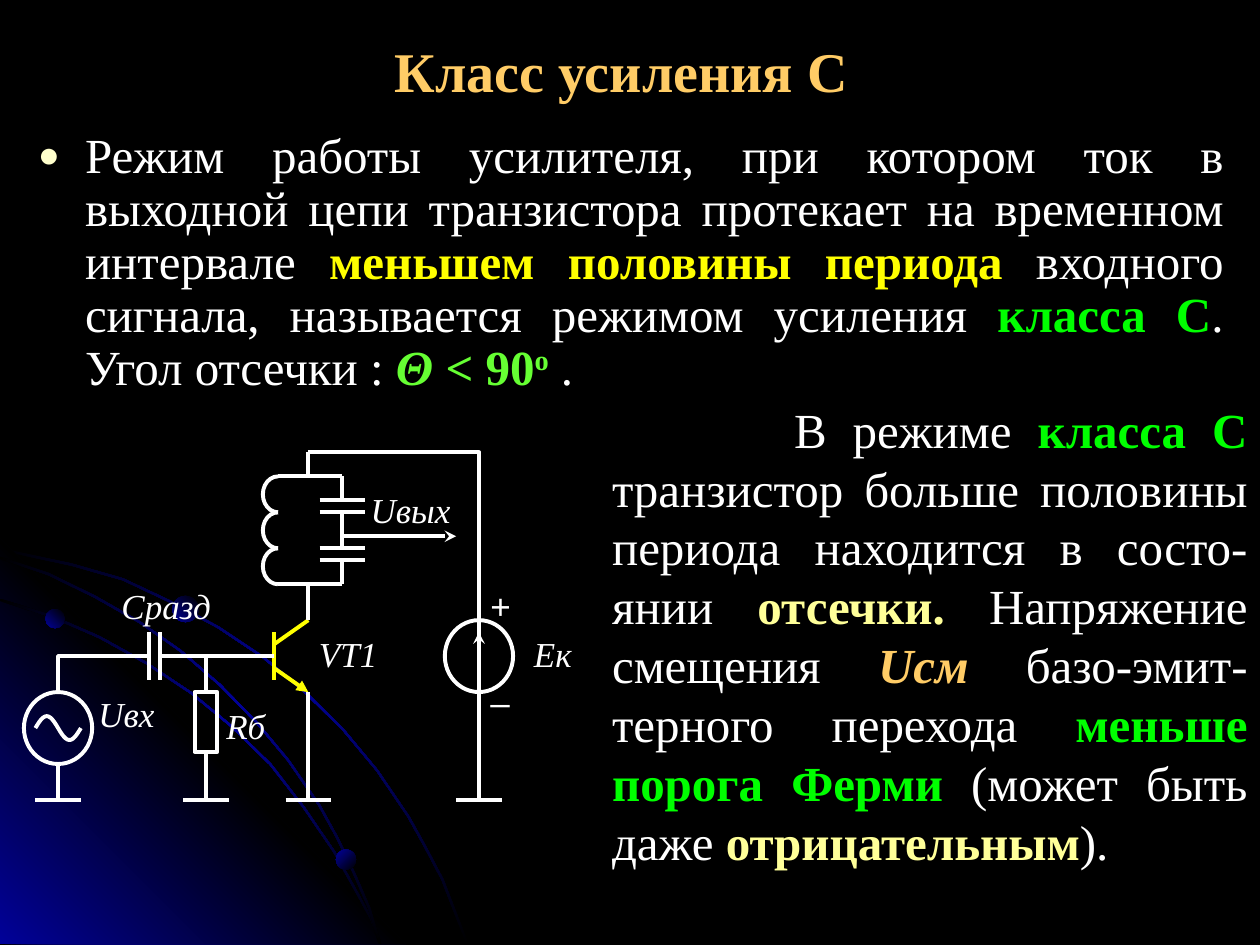
from math import cos, pi, sin

from pptx import Presentation
from pptx.dml.color import RGBColor
from pptx.enum.shapes import MSO_CONNECTOR, MSO_SHAPE
from pptx.enum.text import MSO_ANCHOR, MSO_AUTO_SIZE, PP_ALIGN
from pptx.oxml import parse_xml
from pptx.oxml.ns import nsdecls, qn
from pptx.util import Pt

STRAIGHT = MSO_CONNECTOR.STRAIGHT
ELLIPSE, RECTANGLE = MSO_SHAPE.OVAL, MSO_SHAPE.RECTANGLE
CENTER, JUSTIFY, LEFT = PP_ALIGN.CENTER, PP_ALIGN.JUSTIFY, PP_ALIGN.LEFT
TOP, MIDDLE = MSO_ANCHOR.TOP, MSO_ANCHOR.MIDDLE
NO_AUTOFIT = MSO_AUTO_SIZE.NONE

BLACK, BLUE, WHITE = "000000", "010199", "FFFFFF"
GOLD, YELLOW, CREAM = "FFCC66", "FFFF00", "FFFF99"
GREEN, LIME = "00FF00", "66FF33"
SERIF, SANS = "Times New Roman", "Arial"


def color(value):
    return RGBColor.from_string(value)


def grid(x, y):
    """Circuit grid cell to points on the slide."""
    return 20.2 + 6.5 * x, 258.5 + 6.85 * y


class Board:
    line_width = 2.25

    def __init__(self, slide):
        self.slide = slide
        self.shapes = slide.shapes
        slide.background.fill.solid()
        slide.background.fill.fore_color.rgb = color(BLACK)

    def place(self, shape, left, top, width, height):
        shape.left, shape.top = Pt(left), Pt(top)
        shape.width, shape.height = Pt(width), Pt(height)

    def add_parts(self, paragraph, parts, size, font=SERIF):
        """Each part is (text, colour, style), the style holding b, i or ^."""
        for text, hue, style in parts:
            run = paragraph.add_run()
            run.text = text
            run.font.name, run.font.size = font, Pt(size)
            run.font.color.rgb = color(hue)
            run.font.bold, run.font.italic = "b" in style, "i" in style
            if "^" in style:
                run.font._element.set("baseline", "30000")

    def paragraph(self, frame, align, anchor):
        frame.word_wrap = True
        frame.auto_size = NO_AUTOFIT
        frame.vertical_anchor = anchor
        first = frame.paragraphs[0]
        first.alignment = align
        first.space_before = Pt(0)
        return first

    def title(self, box, text):
        self.place(self.shapes.title, *box)
        heading = self.paragraph(self.shapes.title.text_frame, CENTER, MIDDLE)
        self.add_parts(heading, [(text, GOLD, "b")], 32)
        self.add_parts(heading, [(" ", GOLD, "")], 40, SANS)

    def bullet(self, box, parts):
        body = self.slide.placeholders[1]
        self.place(body, *box)
        item = self.paragraph(body.text_frame, JUSTIFY, TOP)
        item.line_spacing = 0.9
        props = item._p.get_or_add_pPr()
        props.set("marL", str(Pt(27)))
        props.set("indent", str(Pt(-27)))
        for tag in ('buClr %s><a:srgbClr val="FFFFCC"/></a:buClr>',
                    'buSzPct %s val="75000"/>',
                    'buFont %s typeface="Arial"/>',
                    'buChar %s char="●"/>'):
            props.append(parse_xml("<a:" + tag % nsdecls("a")))
        self.add_parts(item, parts, 28)

    def note(self, box, parts, first_indent):
        frame = self.shapes.add_textbox(*map(Pt, box)).text_frame
        text = self.paragraph(frame, JUSTIFY, TOP)
        text._p.get_or_add_pPr().set("indent", str(Pt(first_indent)))
        self.add_parts(text, parts, 28)

    def label(self, text, x, y, width, sign=False):
        left, top = grid(x, y)
        box = self.shapes.add_textbox(Pt(left), Pt(top), Pt(width * 6.5), Pt(27.4))
        frame = box.text_frame
        frame.margin_left = frame.margin_right = 0
        frame.margin_top = frame.margin_bottom = 0
        caption = self.paragraph(frame, LEFT if sign else CENTER, TOP)
        self.add_parts(caption, [(text, WHITE, "" if sign else "i")], 20, SANS if sign else SERIF)

    def wire(self, x1, y1, x2, y2, hue=WHITE, arrow=None):
        ends = [Pt(v) for v in grid(x1, y1) + grid(x2, y2)]
        wire = self.shapes.add_connector(STRAIGHT, *ends)
        wire.line.width = Pt(self.line_width)
        wire.line.color.rgb = color(hue)
        props = wire._element.spPr
        if arrow:
            props.find(qn("a:ln")).append(parse_xml(f'<a:tailEnd {nsdecls("a")} type="{arrow}"/>'))
        props.append(parse_xml(f'<a:effectLst {nsdecls("a")}/>'))
        return wire

    def outlined(self, shape):
        shape.shadow.inherit = False
        shape.fill.background()
        shape.line.width = Pt(self.line_width)
        shape.line.color.rgb = color(WHITE)
        return shape

    def symbol(self, kind, x, y, columns, rows):
        left, top = grid(x, y)
        size = Pt(columns * 6.5), Pt(rows * 6.85)
        return self.outlined(self.shapes.add_shape(kind, Pt(left), Pt(top), *size))

    def outline(self, points, close):
        (x0, y0), *rest = [(Pt(x), Pt(y)) for x, y in points]
        builder = self.shapes.build_freeform(x0, y0, scale=1.0)
        builder.add_line_segments(rest, close=close)
        return builder.convert_to_shape()

    def curve(self, cells):
        self.outlined(self.outline([grid(x, y) for x, y in cells], close=False))

    def glow(self, shape, hues, angle):
        shape.shadow.inherit = False
        shape.line.fill.background()
        stops = "".join(
            f'<a:gs pos="{100000 * i // (len(hues) - 1)}"><a:srgbClr val="{hue}"/></a:gs>'
            for i, hue in enumerate(hues))
        shape._element.spPr[1].addnext(parse_xml(
            f'<a:gradFill {nsdecls("a")} rotWithShape="1"><a:gsLst>{stops}</a:gsLst>'
            f'<a:lin ang="{angle * 60000}" scaled="0"/></a:gradFill>'))

    def orbit(self, edge):
        """A thin band whose width turns from vertical to horizontal."""
        last = len(edge) - 1
        inner = [(x - 1.5 * i / last, y + 1.5 * (1 - i / last)) for i, (x, y) in enumerate(edge)]
        self.glow(self.outline(edge + inner[::-1], close=True), (BLACK, BLUE, BLACK), 225)

    def planet(self, left, top, size, angle):
        dot = self.shapes.add_shape(ELLIPSE, Pt(left), Pt(top), Pt(size), Pt(size))
        self.glow(dot, (BLACK, BLUE), angle)


prs = Presentation()
prs.slide_width, prs.slide_height = Pt(720), Pt(540)
board = Board(prs.slides.add_slide(prs.slide_layouts[1]))

# Background: corner glow, orbits and planets
board.orbit([(0, 313), (20, 317.5), (41, 322), (70.5, 330.5), (98, 343.5),
             (125, 358), (150.5, 375), (174, 394.5), (196, 416), (216, 440),
             (234, 466.5), (244, 484.5), (253.5, 502.5), (260.5, 520.5), (268, 539.5)])
corner = board.outline([(232, 539.5), (0, 539.5), (0, 307.5)], close=True)
board.glow(corner, (BLUE, BLACK, BLUE), 135)
board.orbit([(0, 342), (29.5, 351.5), (57, 363.5), (84, 378.5), (109.5, 395.5),
             (132.5, 414.5), (155, 436.5), (174, 461), (191.5, 486.5),
             (206, 512.5), (213, 525.5), (218, 539.5)])
board.orbit([(0, 318), (28, 327.5), (54.5, 340.5), (80, 355), (103.5, 371.5),
             (126, 391), (147, 412.5), (165, 434), (183, 460), (193.5, 479),
             (203, 499), (211.5, 518.5), (218, 539.5)])
for planet in ((26, 348, 11, 135), (192, 485.5, 11.5, 225), (98.5, 340.5, 15, 135)):
    board.planet(*planet)

# Title and definition
board.title((36.7, 15, 648, 44), "Класс усиления С")
board.bullet((14.4, 71.3, 692, 159), [
    ("Режим работы усилителя, при котором ток в выходной цепи транзистора "
     "протекает на временном интервале ", WHITE, ""),
    ("меньшем половины периода", YELLOW, "b"),
    (" входного сигнала, называется режимом усиления ", WHITE, ""),
    ("класса С", GREEN, "b"), (". Угол отсечки : ", WHITE, ""),
    ("Θ < ", LIME, "bi"), ("90", LIME, "b"), ("о", LIME, "b^"), (" .", WHITE, "")])

# Transistor
board.wire(21, 15, 21, 19, YELLOW)
board.wire(21, 16, 24, 14, YELLOW)
board.wire(21, 18, 24, 20, YELLOW, "triangle")

# Sources: supply and input signal
board.symbol(ELLIPSE, 36, 14, 6, 6)
board.wire(39, 20, 39, 15, arrow="stealth")
board.symbol(ELLIPSE, -1, 20, 6, 6)
board.curve([(i / 6, 23 - sin(pi * i / 12)) for i in range(25)])

# Tank circuit: three coil turns and two capacitors
for turn in (8, 5, 2):
    board.curve([(21.33 - 1.33 * sin(pi * i / 12), turn + 1.5 + 1.5 * cos(pi * i / 12))
                 for i in range(13)])
for plate in (4, 5, 8, 9):
    board.wire(25, plate, 29, plate)
for rail in (2, 11):
    board.wire(21.3, rail, 27, rail)
for lead_top, lead_bottom in ((2, 4), (5, 8), (9, 11)):
    board.wire(27, lead_top, 27, lead_bottom)
board.wire(27, 7, 37, 7, arrow="stealth")

# Wiring, coupling capacitor and ground bars
board.curve([(2, 20), (2, 17), (10, 17)])
board.curve([(24, 0), (39, 0), (39, 29)])
for run in ((24, 0, 24, 2), (24, 11, 24, 14), (24, 29, 24, 20),
            (2, 26, 2, 29), (11, 17, 21, 17), (10, 15, 10, 19), (11, 15, 11, 19)):
    board.wire(*run)
for ground in (2, 15, 24, 39):
    board.wire(ground - 2, 29, ground + 2, 29)

# Base resistor with its leads
resistor = board.symbol(RECTANGLE, 14, 20, 2, 5)
board.wire(15, 17, 15, 20).end_connect(resistor, 0)
board.wire(15, 25, 15, 29).begin_connect(resistor, 2)

# Component labels
for name, x, y, width in (("Eк", 42, 15, 7), ("Uвх", 5, 20, 6), ("VT1", 24, 15, 7),
                          ("Uвых", 29, 3, 8), ("Сразд", 7, 11, 9), ("Rб", 16, 21, 5)):
    board.label(name, x, y, width)
for polarity, y in (("+", 11), ("–", 19)):
    board.label(polarity, 40, y, 4, sign=True)

# Explanation
board.note((342.7, 224.6, 377.3, 276.5), [
    ("В режиме ", WHITE, ""), ("класса С", GREEN, "b"),
    (" транзистор больше половины периода находится в состо-янии ", WHITE, ""),
    ("отсечки.", CREAM, "b"), (" Напряжение смещения ", WHITE, ""),
    ("Uсм", GOLD, "bi"), (" базо-эмит-терного перехода ", WHITE, ""),
    ("меньше порога Ферми", GREEN, "b"), (" (может быть даже ", WHITE, ""),
    ("отрицательным", CREAM, "b"), (").", WHITE, "")], first_indent=104)

prs.save("out.pptx")
